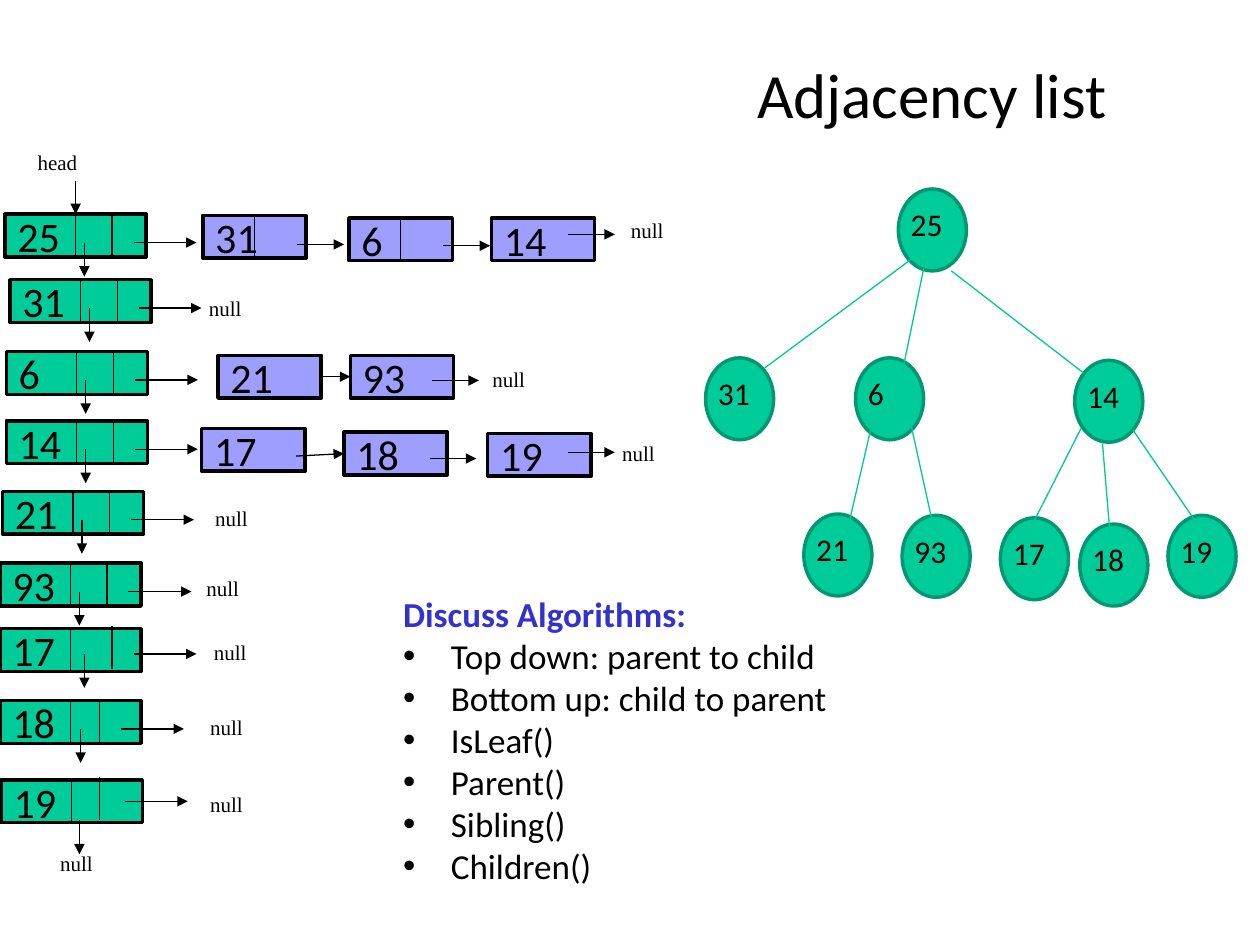
from dataclasses import dataclass

import pptx
import pptx.util
import pptx.dml.color
import pptx.enum.shapes
import pptx.enum.text
import pptx.oxml.ns
from lxml import etree

SHAPES = pptx.enum.shapes.MSO_SHAPE
ALIGN = pptx.enum.text.PP_ALIGN
ANCHOR = pptx.enum.text.MSO_ANCHOR
TOP, LEFT, RIGHT = 0, 1, 3


@dataclass(frozen=True)
class Theme:
    sans: str = "Calibri"
    serif: str = "Times New Roman"
    ink: str = "000000"
    heading: str = "3333CC"
    vertex: str = "00CC99"
    vertex_rim: str = "009771"
    edge: str = "00C896"
    neighbour: str = "9E9EFF"
    title_size: int = 36
    cell_size: int = 24
    list_size: int = 20
    tree_size: int = 18
    note_size: int = 12
    outline: float = 2
    thin: float = 0.75


def inches(value):
    return pptx.util.Cm(value * 2.54)


def rgb(value):
    return pptx.dml.color.RGBColor.from_string(value)


def add_xml(parent, tag, **attributes):
    return etree.SubElement(parent, pptx.oxml.ns.qn(tag), **attributes)


class Page:
    def __init__(self, slide, theme):
        self.slide = slide
        self.shapes = slide.shapes
        self.theme = theme

    def span(self, para, words, size, font=None, color=None, bold=False):
        span = para.add_run()
        span.text = words
        span.font.size = pptx.util.Pt(size)
        span.font.name = font or self.theme.sans
        span.font.color.rgb = rgb(color or self.theme.ink)
        span.font.bold = bold

    def title(self, words, left, top, width, height):
        box = self.shapes.title
        box.left, box.top = inches(left), inches(top)
        box.width, box.height = inches(width), inches(height)
        box.text_frame.vertical_anchor = ANCHOR.TOP
        para = box.text_frame.paragraphs[0]
        para.alignment = ALIGN.LEFT
        self.span(para, words, self.theme.title_size)

    def frame(self, left, top, width, height):
        box = self.shapes.add_textbox(*map(inches, (left, top, width, height)))
        box.text_frame.word_wrap = True
        box.text_frame.auto_size = pptx.enum.text.MSO_AUTO_SIZE.SHAPE_TO_FIT_TEXT
        return box.text_frame

    def note(self, words, left, top, width=0.5):
        para = self.frame(left, top, width, 0.3).paragraphs[0]
        self.span(para, words, self.theme.note_size, self.theme.serif)

    def solid(self, kind, left, top, width, height, fill, rim):
        shape = self.shapes.add_shape(kind, *map(inches, (left, top, width, height)))
        shape.shadow.inherit = False
        shape.fill.solid()
        shape.fill.fore_color.rgb = rgb(fill)
        shape.line.color.rgb = rgb(rim)
        shape.line.width = pptx.util.Pt(self.theme.outline)
        return shape

    def cell(self, words, left, top, width, fill):
        box = self.solid(SHAPES.RECTANGLE, left, top, width, 0.34, fill, self.theme.ink)
        box.text_frame.vertical_anchor = ANCHOR.MIDDLE
        para = box.text_frame.paragraphs[0]
        para.alignment = ALIGN.LEFT
        self.span(para, words, self.theme.cell_size)
        return box

    def line(self, start, end, color=None, arrow=False):
        line = self.shapes.add_connector(
            pptx.enum.shapes.MSO_CONNECTOR.STRAIGHT, *map(inches, (*start, *end)))
        line.line.color.rgb = rgb(color or self.theme.ink)
        line.line.width = pptx.util.Pt(self.theme.thin)
        if arrow:
            add_xml(line.line._get_or_add_ln(), "a:tailEnd", type="triangle")
        add_xml(line._element.spPr, "a:effectLst")
        return line

    def arrow(self, left, top, across=0, down=0):
        return self.line((left, top), (left + across, top + down), arrow=True)

    def record(self, words, left, top, split=0.85, rise=0, out=(1.02, 0.225), drop=(0.63, 0.225)):
        box = self.cell(words, left, top, 1.12, self.theme.vertex)
        for offset, lift in ((0.56, 0), (split, rise)):
            x, y = left + offset, top - lift
            self.line((x, y), (x, y + 0.34))
        self.arrow(left + out[0], top + out[1], across=0.5)
        self.arrow(left + drop[0], top + drop[1], down=0.27)
        return box

    def neighbour(self, words, left, top, divided=False):
        box = self.cell(words, left, top, 0.82, self.theme.neighbour)
        if divided:
            self.line((left + 0.41, top), (left + 0.41, top + 0.34))
        return box

    def vertex(self, words, left, top):
        self.solid(SHAPES.OVAL, left, top, 0.54, 0.65, self.theme.vertex, self.theme.vertex_rim)
        para = self.frame(left, top + 0.08, 0.47, 0.4).paragraphs[0]
        self.span(para, words, self.theme.tree_size)

    def bullets(self, heading, items, left, top, width, height):
        frame = self.frame(left, top, width, height)
        para = frame.paragraphs[0]
        para.alignment = ALIGN.JUSTIFY
        self.span(para, heading, self.theme.list_size, color=self.theme.heading, bold=True)
        for item in items:
            para = frame.add_paragraph()
            para.alignment = ALIGN.JUSTIFY
            properties = para._p.get_or_add_pPr()
            properties.set("marL", str(inches(0.38)))
            properties.set("indent", str(-inches(0.38)))
            add_xml(properties, "a:buFont", typeface="Arial")
            add_xml(properties, "a:buChar", char="•")
            self.span(para, item, self.theme.list_size)


def main():
    deck = pptx.Presentation()
    deck.slide_width, deck.slide_height = inches(10), inches(7.5)
    theme = Theme()
    page = Page(deck.slides.add_slide(deck.slide_layouts[5]), theme)
    page.title("Adjacency list", 5.91, 0.39, 4.34, 0.83)

    for words, left, top in (
        ("25", 7.13, 1.5), ("31", 5.6, 2.84), ("6", 6.79, 2.84),
        ("14", 8.53, 2.86), ("19", 9.27, 4.09), ("18", 8.57, 4.16),
        ("17", 7.94, 4.11), ("93", 7.16, 4.09), ("21", 6.38, 4.08),
    ):
        page.vertex(words, left, top)
    for start, end in (
        ((7.27, 2.03), (6.07, 2.92)), ((7.36, 1.99), (7.16, 2.96)),
        ((7.55, 2.15), (8.6, 2.96)), ((7.23, 3.37), (7.41, 4.19)),
        ((6.92, 3.37), (6.72, 4.23)), ((8.99, 3.41), (9.51, 4.17)),
        ((8.75, 3.52), (8.81, 4.24)), ((8.58, 3.4), (8.18, 4.19)),
    ):
        page.line(start, end, theme.edge)

    first = page.record("25", 0.04, 1.7)
    for words, left, top in (
        ("31", 0.08, 2.22), ("6", 0.05, 2.79), ("14", 0.05, 3.34),
        ("21", 0.02, 3.9), ("93", 0, 4.47),
    ):
        page.record(words, left, top)
    page.record("17", 0, 4.99, 0.89, 0.02, (1.06, 0.2), (0.67, 0.2))
    page.record("18", 0, 5.56, 0.79, 0, (0.96, 0.225), (0.64, 0.225))
    page.record("19", 0.01, 6.19, 0.78, 0.02, (0.98, 0.17), (0.62, 0.32))

    boxes = {}
    for words, left, top, divided in (
        ("6", 2.77, 1.73, True), ("31", 1.61, 1.71, True), ("14", 3.9, 1.73, False),
        ("93", 2.78, 2.82, False), ("19", 3.87, 3.44, False), ("18", 2.73, 3.43, False),
        ("21", 1.73, 2.82, False), ("17", 1.6, 3.4, False),
    ):
        boxes[words] = page.neighbour(words, left, top, divided)
    for left, top in (
        (3.52, 1.95), (2.36, 1.94), (4.51, 1.86),
        (3.43, 3.02), (4.51, 3.59), (3.41, 3.64),
    ):
        page.arrow(left, top, across=0.37)
    link = page.arrow(2.55, 2.99, across=0.23)
    link.begin_connect(boxes["21"], RIGHT)
    link.end_connect(boxes["93"], LEFT)
    page.arrow(2.35, 3.62, across=0.38).end_connect(boxes["18"], LEFT)

    for left, top in (
        (1.61, 3.96), (4.84, 3.45), (3.81, 2.86), (1.56, 2.3), (4.91, 1.68),
        (1.54, 4.52), (1.6, 5.03), (1.57, 5.62), (1.57, 6.23), (0.38, 6.7),
    ):
        page.note("null", left, top)
    page.bullets(
        "Discuss Algorithms:",
        ("Top down: parent to child", "Bottom up: child to parent",
         "IsLeaf()", "Parent()", "Sibling()", "Children()"),
        3.1, 4.65, 4.15, 2.46)
    page.note("head", 0.2, 1.14, 0.79)
    page.arrow(0.6, 1.44, down=0.26).end_connect(first, TOP)

    deck.save("out.pptx")


if __name__ == "__main__":
    main()
